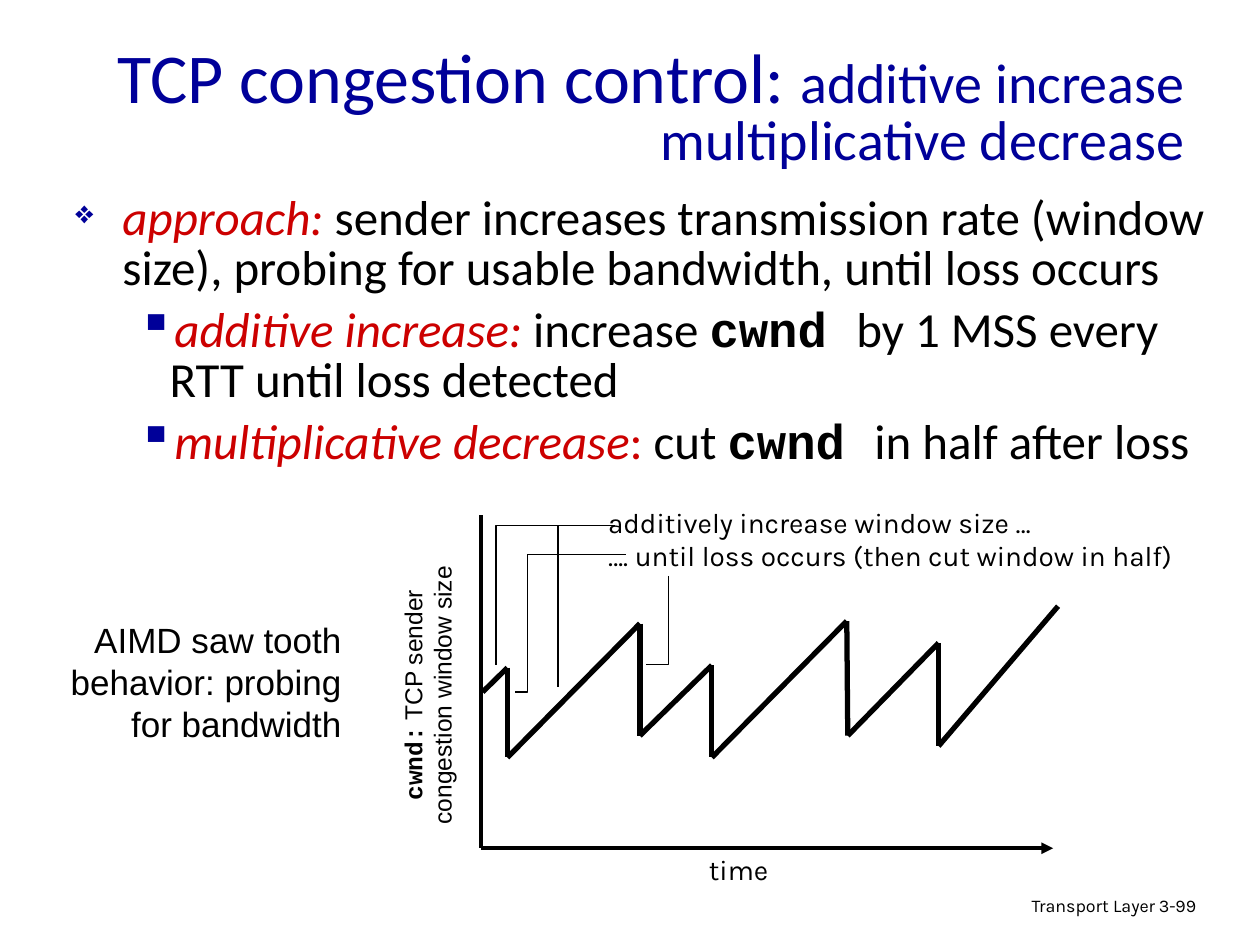
from itertools import pairwise

from lxml import etree
from pptx import Presentation
from pptx.dml.color import RGBColor
from pptx.enum.shapes import MSO_CONNECTOR as Connector
from pptx.enum.text import MSO_ANCHOR as Anchor, MSO_AUTO_SIZE as AutoSize, PP_ALIGN as Align
from pptx.oxml.ns import qn
from pptx.util import Cm, Pt

BLACK = RGBColor(0x00, 0x00, 0x00)
WHITE = RGBColor(0xFF, 0xFF, 0xFF)
NAVY = RGBColor(0x00, 0x00, 0x99)
RED = RGBColor(0xCC, 0x00, 0x00)

SAWTOOTH = [
    (0.03, 3.56), (0.53, 3.07), (0.53, 4.88), (3.2, 2.18), (3.2, 4.44), (4.65, 3.02),
    (4.65, 4.88), (7.37, 2.13), (7.39, 4.44), (9.22, 2.57), (9.22, 4.65), (11.63, 1.83),
]
CALLOUTS = [
    [(2.69, 0.2), (0.3, 0.2), (0.3, 3.02)],
    [(2.92, 0.79), (0.94, 0.79), (0.94, 3.56), (0.69, 3.56)],
    [(2.69, 0.2), (1.55, 0.2), (1.55, 3.45)],
    [(3.78, 1.22), (3.78, 3), (3.33, 3)],
]


def set_font(font, name, size, color=BLACK):
    font.name, font.size, font.color.rgb = name, Pt(size), color


def add_text(slide, box, lines, name, size, align=Align.LEFT, wrap=False):
    shape = slide.shapes.add_textbox(*map(Cm, box))
    frame = shape.text_frame
    frame.word_wrap = wrap
    frame.auto_size = AutoSize.NONE if wrap else AutoSize.SHAPE_TO_FIT_TEXT
    for index, line in enumerate(lines):
        paragraph = frame.paragraphs[0] if index == 0 else frame.add_paragraph()
        paragraph.text = line
        paragraph.alignment = align
        set_font(paragraph.font, name, size)
    return shape


def add_line(slide, start, end, width):
    line = slide.shapes.add_connector(Connector.STRAIGHT, *map(Cm, (*start, *end)))
    line.line.color.rgb = BLACK
    line.line.width = Pt(width)
    etree.SubElement(line._element.spPr, qn("a:effectLst"))
    return line


def add_bullet(paragraph, character, margin, indent, scale):
    properties = paragraph._p.get_or_add_pPr()
    properties.set("marL", str(Cm(margin)))
    properties.set("indent", str(Cm(indent)))
    color = etree.SubElement(properties, qn("a:buClr"))
    etree.SubElement(color, qn("a:srgbClr"), val=str(NAVY))
    etree.SubElement(properties, qn("a:buSzPct"), val=str(scale * 1000))
    etree.SubElement(properties, qn("a:buChar"), char=character)


def fill_title(slide, box):
    title = slide.shapes.title
    title.left, title.top, title.width, title.height = map(Cm, box)
    frame = title.text_frame
    frame.auto_size = AutoSize.NONE
    frame.vertical_anchor = Anchor.MIDDLE
    paragraph = frame.paragraphs[0]
    paragraph.alignment = Align.RIGHT
    paragraph.line_spacing = 0.8
    set_font(paragraph.font, "Calibri", 40, NAVY)
    paragraph.add_run().text = "TCP congestion control: "
    subject = paragraph.add_run()
    subject.text = "additive increase multiplicative decrease"
    subject.font.size = Pt(32)


def add_points(slide, box):
    points = [
        (0, "approach:", "", " sender increases transmission rate (window size), "
         "probing for usable bandwidth, until loss occurs", None, ""),
        (1, "additive increase:", "", " increase ", "cwnd ",
         "by 1 MSS every RTT until loss detected"),
        (1, "multiplicative decrease", ":", " cut ", "cwnd ", "in half after loss"),
    ]
    frame = slide.shapes.add_textbox(*map(Cm, box)).text_frame
    frame.word_wrap = True
    for index, (level, term, colon, text, code, rest) in enumerate(points):
        paragraph = frame.paragraphs[0] if index == 0 else frame.add_paragraph()
        paragraph.level = level
        paragraph.line_spacing = 0.85
        if index:
            paragraph.space_before = Pt(7)
        if level == 0:
            add_bullet(paragraph, "❖", 0.95, -0.95, 65)
        else:
            add_bullet(paragraph, "▪", 1.9, -0.64, 100)
        set_font(paragraph.font, "Calibri", 28)
        for part in filter(None, (term, colon, text, code, rest)):
            run = paragraph.add_run()
            run.text = part
            if part in (term, colon):
                run.font.color.rgb = RED
                run.font.italic = part == term
            elif part == code:
                run.font.name = "Courier New"
                run.font.bold = True


def add_window_graph(slide, box):
    left, top, width, height = box

    def place(x, y):
        return left + x, top + y

    label = add_text(slide, (*place(-3.94, 2.9), 5.72, 1.45),
                     ["", "congestion window size"], "Arial", 14, Align.CENTER)
    label.rotation = 270
    label.fill.solid()
    label.fill.fore_color.rgb = WHITE
    first = label.text_frame.paragraphs[0]
    variable = first.add_run()
    variable.text = "cwnd:"
    variable.font.name = "Courier New"
    variable.font.bold = True
    first.add_run().text = " TCP sender"

    time_axis = add_line(slide, place(0, height), place(width, height), 2.25)
    outline = time_axis.line._get_or_add_ln()
    etree.SubElement(outline, qn("a:tailEnd"), type="triangle")
    add_line(slide, place(0, 0), place(0, height), 2.25)
    for start, end in pairwise(SAWTOOTH):
        add_line(slide, place(*start), place(*end), 3)

    add_text(slide, (*place(2.31, -0.33), 12.14, 1.63),
             ["additively increase window size …",
              "…. until loss occurs (then cut window in half)"], "Karla", 16)
    for callout in CALLOUTS:
        start, *others = [tuple(map(Cm, place(*point))) for point in callout]
        builder = slide.shapes.build_freeform(*start)
        builder.add_line_segments(others, close=False)
        shape = builder.convert_to_shape()
        shape.shadow.inherit = False
        shape.fill.background()
        shape.line.color.rgb = BLACK
        shape.line.width = Pt(0.75)
    add_text(slide, (*place(4.34, 6.68), 1.7, 0.94), ["time"], "Karla", 16, Align.CENTER)


def add_footer(slide, box):
    left, top, width, height = box
    number_width = 1.88
    for part, text, align in (
        ((left, top, 8.05, height), "Transport Layer", Align.RIGHT),
        ((left + width - number_width, top, number_width, height), "3-99", Align.LEFT),
    ):
        shape = add_text(slide, part, [text], "Karla", 10.2, align, wrap=True)
        shape.text_frame.paragraphs[0].line_spacing = 0.9


def main():
    presentation = Presentation()
    presentation.slide_width, presentation.slide_height = Cm(25.4), Cm(19.05)
    slide = presentation.slides.add_slide(presentation.slide_layouts[5])
    fill_title(slide, (0.64, 0.64, 23.5, 3.18))
    add_points(slide, (1.27, 3.81, 23.27, 4.01))
    add_text(slide, (1.17, 12.34, 5.97, 2.79),
             ["AIMD saw tooth", "behavior: probing", "for bandwidth"],
             "Arial", 20, Align.RIGHT)
    add_window_graph(slide, (9.7, 10.39, 11.53, 6.71))
    add_footer(slide, (15.49, 17.95, 9.5, 0.77))
    presentation.save("out.pptx")


if __name__ == "__main__":
    main()
